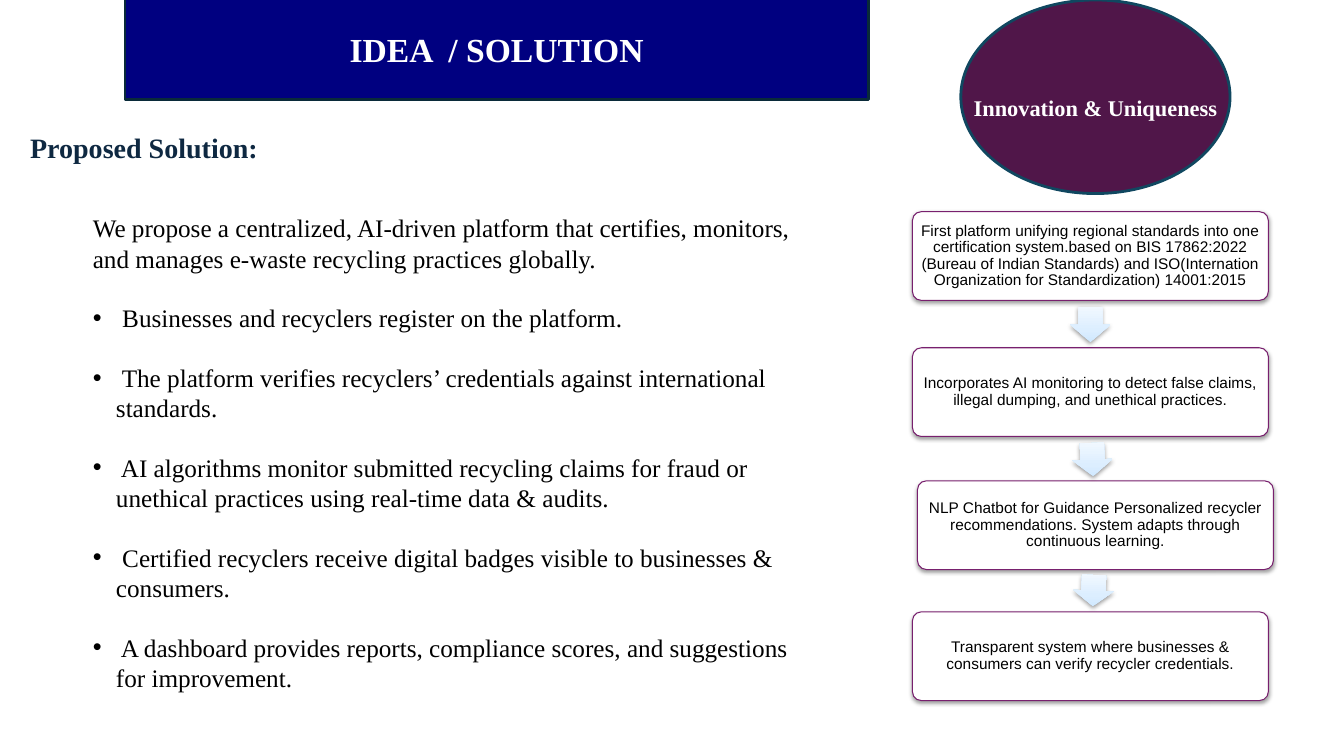
from dataclasses import dataclass

from lxml import etree
from pptx import Presentation
from pptx.dml.color import RGBColor
from pptx.enum.shapes import MSO_SHAPE
from pptx.enum.text import MSO_ANCHOR, MSO_AUTO_SIZE, PP_ALIGN
from pptx.oxml.ns import qn
from pptx.util import Pt

PX = 9144  # EMU per px, 100 px to the inch
ELLIPSE, ROUNDED, ARROW = MSO_SHAPE.OVAL, MSO_SHAPE.ROUNDED_RECTANGLE, MSO_SHAPE.RIGHT_ARROW
CENTER, LEFT = PP_ALIGN.CENTER, PP_ALIGN.LEFT
MIDDLE, TOP = MSO_ANCHOR.MIDDLE, MSO_ANCHOR.TOP
NO_AUTOFIT = MSO_AUTO_SIZE.NONE


@dataclass(frozen=True)
class Theme:
    serif: str = "Times New Roman"
    sans: str = "Arial"
    white: str = "FFFFFF"
    black: str = "000000"
    heading: str = "0E2841"
    banner: str = "000080"
    banner_line: str = "092A39"
    badge: str = "501649"
    badge_line: str = "104760"
    card_line: str = "78206E"
    arrow_stops: tuple = ((0, "CFE8FF"), (35, "DCEEFF"), (100, "F1F8FF"))
    title_pt: int = 24
    heading_pt: int = 20
    body_pt: int = 18
    badge_pt: int = 16
    card_pt: int = 11


THEME = Theme()

INTRO = ("We propose a centralized, AI-driven platform that certifies, monitors, "
         "and manages e-waste recycling practices globally.")
FEATURES = (
    " Businesses and recyclers register on the platform.",
    " The platform verifies recyclers’ credentials against international standards.",
    " AI algorithms monitor submitted recycling claims for fraud or unethical practices "
    "using real-time data & audits.",
    " Certified recyclers receive digital badges visible to businesses & consumers.",
    " A dashboard provides reports, compliance scores, and suggestions for improvement.",
)
# left, top, text
INNOVATIONS = (
    (905, 210, "First platform unifying regional standards into one certification "
               "system.based on BIS 17862:2022 (Bureau of Indian Standards) and "
               "ISO(Internation Organization for Standardization) 14001:2015"),
    (905, 345, "Incorporates AI monitoring to detect false claims, illegal dumping, "
               "and unethical practices."),
    (910, 477, "NLP Chatbot for Guidance Personalized recycler recommendations. "
               "System adapts through continuous learning."),
    (905, 607, "Transparent system where businesses & consumers can verify "
               "recycler credentials."),
)
# left, top, length, rotation
FLOW_ARROWS = ((1064, 302, 35, 90), (1067, 436, 33, 87.7), (1069, 566, 31, 92.4))


def px(*lengths):
    return [length * PX for length in lengths]


def place(shape, left, top, width, height):
    shape.left, shape.top, shape.width, shape.height = px(left, top, width, height)


def paint(shape, fill, line, line_pt):
    shape.fill.solid()
    shape.fill.fore_color.rgb = RGBColor.from_string(fill)
    shape.line.color.rgb = RGBColor.from_string(line)
    shape.line.width = Pt(line_pt)


def add_run(paragraph, text, font, size, color, bold=False):
    run = paragraph.add_run()
    run.text = text
    run.font.name = font
    run.font.size = Pt(size)
    run.font.bold = bold
    run.font.color.rgb = RGBColor.from_string(color)


def add_child(parent, tag, **attributes):
    return etree.SubElement(parent, qn(tag), attributes)


def add_preset(slide, preset, box):
    shape = slide.shapes.add_shape(preset, *px(*box))
    shape.shadow.inherit = False
    return shape


def add_soft_shadow(shape):
    effects = shape._element.spPr.find(qn("a:effectLst"))
    shadow = add_child(effects, "a:outerShdw", blurRad="40000", dist="20000",
                       dir="5400000", rotWithShape="0")
    add_child(add_child(shadow, "a:srgbClr", val=THEME.black), "a:alpha", val="38000")


def set_bullet(paragraph, indent):
    """Hang a round bullet by the indent, or remove it when the indent is zero."""
    properties = paragraph._p.get_or_add_pPr()
    properties.set("marL", str(indent * PX))
    properties.set("indent", str(-indent * PX))
    if indent:
        add_child(add_child(properties, "a:buClr"), "a:srgbClr", val=THEME.black)
        add_child(properties, "a:buFont", typeface=THEME.sans)
        add_child(properties, "a:buChar", char="•")
    else:
        add_child(properties, "a:buNone")


def build_banner(title):
    place(title, 124, -2, 737, 101)
    outline = etree.Element(qn("a:prstGeom"), prst="roundRect")
    add_child(outline, "a:avLst")
    title._element.spPr.insert(1, outline)
    paint(title, THEME.banner, THEME.banner_line, 2)
    frame = title.text_frame
    frame.auto_size = NO_AUTOFIT
    frame.vertical_anchor = MIDDLE
    frame.paragraphs[0].alignment = CENTER
    add_run(frame.paragraphs[0], "IDEA  / SOLUTION", THEME.serif, THEME.title_pt,
            THEME.white, bold=True)


def build_solution_list(body):
    place(body, 82, 206, 719, 495)
    frame = body.text_frame
    frame.auto_size = NO_AUTOFIT
    frame.vertical_anchor = TOP
    for index, text in enumerate((INTRO, *FEATURES)):
        paragraph = frame.add_paragraph() if index else frame.paragraphs[0]
        paragraph.alignment = LEFT
        paragraph.space_before = Pt(21 if index else 0)
        set_bullet(paragraph, 23 if index else 0)
        add_run(paragraph, text, THEME.serif, THEME.body_pt, THEME.black)


def add_heading(slide, text, box):
    frame = slide.shapes.add_textbox(*px(*box)).text_frame
    frame.word_wrap = True
    add_run(frame.paragraphs[0], text, THEME.serif, THEME.heading_pt, THEME.heading, bold=True)


def add_badge(slide, text, box):
    badge = add_preset(slide, ELLIPSE, box)
    paint(badge, THEME.badge, THEME.badge_line, 2)
    frame = badge.text_frame
    frame.word_wrap = False
    frame.vertical_anchor = MIDDLE
    frame.margin_top, frame.margin_bottom = px(26, 5)
    frame.paragraphs[0].alignment = CENTER
    add_run(frame.paragraphs[0], text, THEME.serif, THEME.badge_pt, THEME.white, bold=True)


def add_card(slide, left, top, text):
    card = add_preset(slide, ROUNDED, (left, top, 353, 88))
    card.adjustments[0] = 0.1
    paint(card, THEME.white, THEME.card_line, 0.75)
    add_soft_shadow(card)
    frame = card.text_frame
    frame.word_wrap = True
    frame.vertical_anchor = MIDDLE
    frame.margin_left, frame.margin_right, frame.margin_top, frame.margin_bottom = px(5, 5, 5, 5)
    paragraph = frame.paragraphs[0]
    paragraph.alignment = CENTER
    paragraph.line_spacing = 0.9
    add_run(paragraph, text, THEME.sans, THEME.card_pt, THEME.black)


def add_flow_arrow(slide, left, top, length, rotation):
    arrow = add_preset(slide, ARROW, (left, top, length, 40))
    arrow.adjustments[0], arrow.adjustments[1] = 0.6, 0.5
    arrow.rotation = rotation
    arrow.line.fill.background()
    gradient = etree.Element(qn("a:gradFill"), rotWithShape="0")
    stops = add_child(gradient, "a:gsLst")
    for percent, color in THEME.arrow_stops:
        stop = add_child(stops, "a:gs", pos=str(percent * 1000))
        add_child(stop, "a:srgbClr", val=color)
    add_child(gradient, "a:lin", ang="16200000", scaled="0")
    arrow._element.spPr.find(qn("a:prstGeom")).addnext(gradient)
    add_soft_shadow(arrow)


def main():
    deck = Presentation()
    deck.slide_width, deck.slide_height = px(1333, 750)
    slide = deck.slides.add_slide(deck.slide_layouts[1])
    build_banner(slide.shapes.title)
    build_solution_list(slide.placeholders[1])
    add_heading(slide, "Proposed Solution:", (20, 125, 677, 249))
    add_badge(slide, "Innovation & Uniqueness", (953, 0, 267, 192))
    for card in INNOVATIONS:
        add_card(slide, *card)
    for arrow in FLOW_ARROWS:
        add_flow_arrow(slide, *arrow)
    deck.save("out.pptx")


if __name__ == "__main__":
    main()
